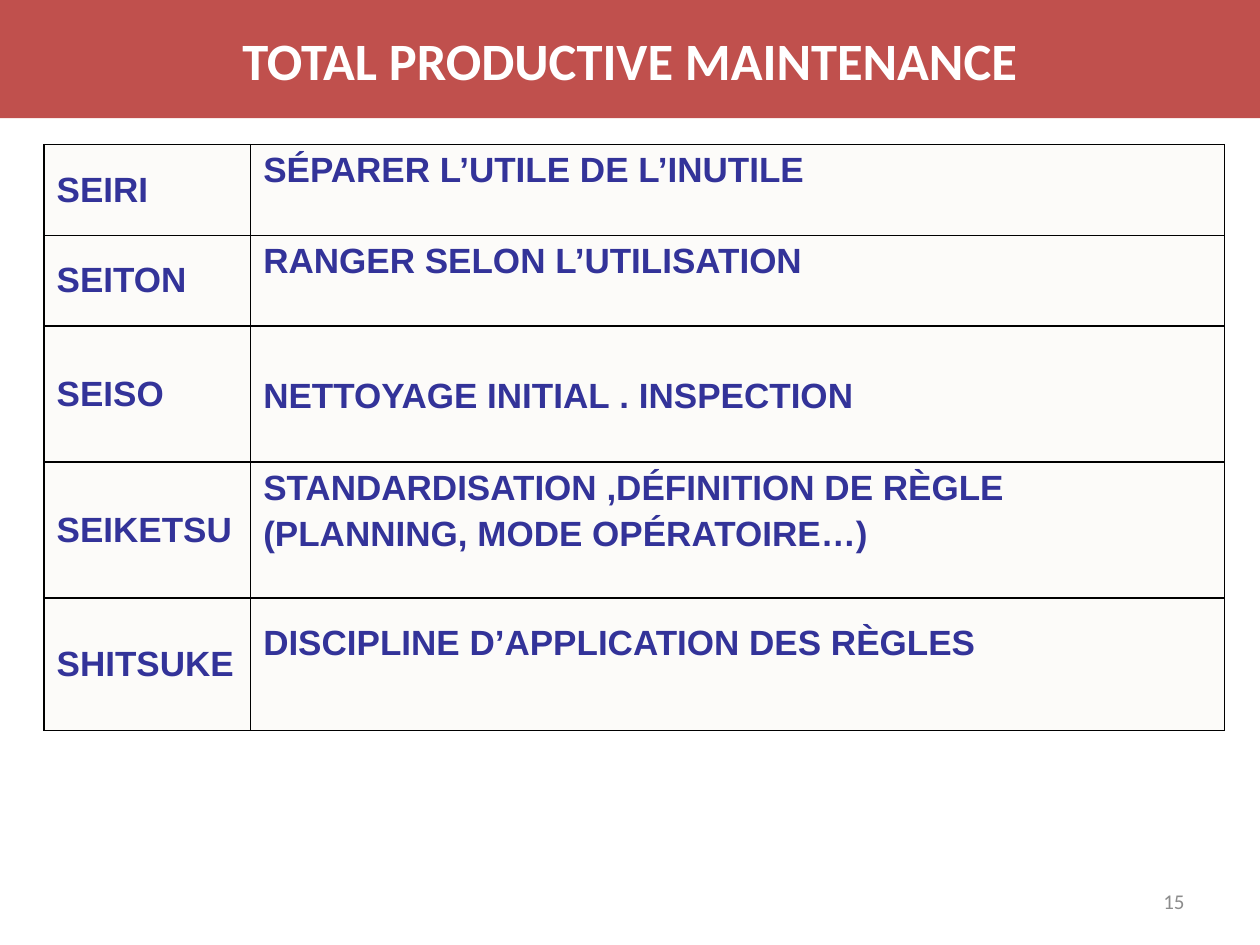
from dataclasses import dataclass

from lxml.etree import SubElement
from pptx import Presentation
from pptx.dml.color import RGBColor
from pptx.enum.shapes import MSO_SHAPE
from pptx.enum.text import MSO_ANCHOR, PP_ALIGN
from pptx.oxml.ns import qn
from pptx.shapes.autoshape import Shape
from pptx.slide import Slide
from pptx.table import _Cell
from pptx.text.text import TextFrame
from pptx.util import Inches, Pt

WIDE, HIGH = Inches(10), Inches(7.5)


@dataclass(frozen=True)
class Style:
    font: str
    size: int
    color: str
    bold: bool = False
    align: PP_ALIGN = PP_ALIGN.LEFT


@dataclass(frozen=True)
class Theme:
    band: str = "C0504D"
    cell: str = "FCFBF9"
    edge: str = "000000"
    line: int = 1
    gap: int = 4
    title: Style = Style("Calibri", 30, "FFFFFF", True, PP_ALIGN.CENTER)
    body: Style = Style("Arial", 20, "333399", True)
    page: Style = Style("Calibri", 12, "8C8C8C", align=PP_ALIGN.RIGHT)


@dataclass(frozen=True)
class Box:
    left: float
    top: float
    width: float
    height: float

    def place(self) -> tuple[int, int, int, int]:
        return (int(self.left * WIDE), int(self.top * HIGH),
                int(self.width * WIDE), int(self.height * HIGH))


@dataclass(frozen=True)
class Step:
    name: str
    lines: tuple[str, ...]
    height: float
    inset: float = 0.05


THEME = Theme()
BAND = Box(0, 0, 1, 0.125)
GRID = Box(0.035, 0.153, 0.937, 0.62)
PAGE = Box(0.717, 0.927, 0.233, 0.053)
COLS = (0.175, 0.825)
STEPS = (
    Step("SEIRI", ("SÉPARER L’UTILE DE L’INUTILE",), 0.72),
    Step("SEITON", ("RANGER SELON L’UTILISATION",), 0.72),
    Step("SEISO", ("NETTOYAGE INITIAL\u00a0. INSPECTION",), 1.08, 0.4),
    Step("SEIKETSU", ("STANDARDISATION\u00a0,DÉFINITION DE RÈGLE",
                      "(PLANNING, MODE OPÉRATOIRE…)"), 1.08),
    Step("SHITSUKE", ("DISCIPLINE D’APPLICATION DES RÈGLES",), 1.05, 0.2),
)


def write(frame: TextFrame, lines: tuple[str, ...], style: Style) -> None:
    frame.word_wrap = True
    for i, line in enumerate(lines):
        para = frame.add_paragraph() if i else frame.paragraphs[0]
        para.alignment = style.align
        if i:
            para.space_before = Pt(THEME.gap)
        run = para.add_run()
        run.text = line
        font = run.font
        font.name, font.size, font.bold = style.font, Pt(style.size), style.bold
        font.color.rgb = RGBColor.from_string(style.color)


def label(shape: Shape, text: str, style: Style) -> None:
    shape.text_frame.vertical_anchor = MSO_ANCHOR.MIDDLE
    write(shape.text_frame, (text,), style)


def paint(cell: _Cell) -> None:
    props = cell._tc.get_or_add_tcPr()
    for side in ("a:lnL", "a:lnR", "a:lnT", "a:lnB"):
        line = SubElement(props, qn(side), w=str(Pt(THEME.line)))
        fill = SubElement(line, qn("a:solidFill"))
        SubElement(fill, qn("a:srgbClr"), val=THEME.edge)
    cell.fill.solid()
    cell.fill.fore_color.rgb = RGBColor.from_string(THEME.cell)


def draw_steps(slide: Slide) -> None:
    table = slide.shapes.add_table(len(STEPS), len(COLS), *GRID.place()).table
    table.first_row = table.horz_banding = False
    for col, share in zip(table.columns, COLS):
        col.width = int(share * GRID.width * WIDE)
    for i, step in enumerate(STEPS):
        table.rows[i].height = Inches(step.height)
        name, task = table.cell(i, 0), table.cell(i, 1)
        name.vertical_anchor = MSO_ANCHOR.MIDDLE
        task.vertical_anchor = MSO_ANCHOR.TOP
        task.margin_top = Inches(step.inset)
        for cell, lines in ((name, (step.name,)), (task, step.lines)):
            paint(cell)
            write(cell.text_frame, lines, THEME.body)


def main() -> None:
    deck = Presentation()
    deck.slide_width, deck.slide_height = WIDE, HIGH
    slide = deck.slides.add_slide(deck.slide_layouts[6])
    band = slide.shapes.add_shape(MSO_SHAPE.RECTANGLE, *BAND.place())
    band.shadow.inherit = False
    band.fill.solid()
    band.fill.fore_color.rgb = RGBColor.from_string(THEME.band)
    band.line.fill.background()
    label(band, "TOTAL PRODUCTIVE MAINTENANCE", THEME.title)
    draw_steps(slide)
    label(slide.shapes.add_textbox(*PAGE.place()), "15", THEME.page)
    deck.save("out.pptx")


if __name__ == "__main__":
    main()
